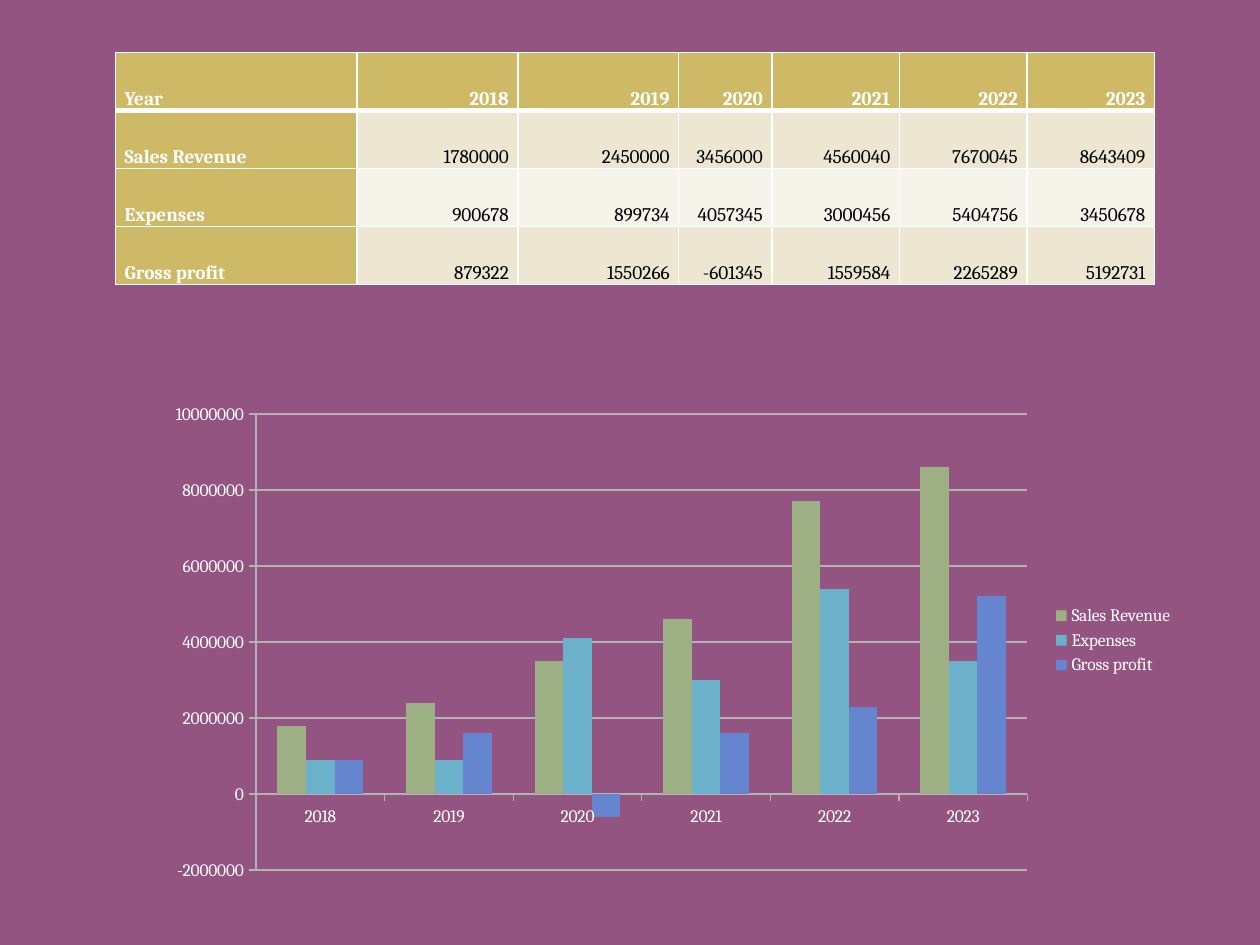
from lxml.etree import SubElement
from pptx import Presentation
from pptx.chart.data import CategoryChartData
from pptx.dml.color import RGBColor
from pptx.enum.chart import XL_CHART_TYPE, XL_LEGEND_POSITION, XL_TICK_MARK
from pptx.enum.text import MSO_ANCHOR, PP_ALIGN
from pptx.oxml import parse_xml
from pptx.oxml.ns import nsdecls, qn
from pptx.util import Cm, Pt

# Content
YEARS = ["2018", "2019", "2020", "2021", "2022", "2023"]
FIGURES = {
    "Sales Revenue": [1780000, 2450000, 3456000, 4560040, 7670045, 8643409],
    "Expenses": [900678, 899734, 4057345, 3000456, 5404756, 3450678],
    "Gross profit": [879322, 1550266, -601345, 1559584, 2265289, 5192731],
}
CHART_FIGURES = {
    "Sales Revenue": [1800000, 2400000, 3500000, 4600000, 7700000, 8600000],
    "Expenses": [900000, 900000, 4100000, 3000000, 5400000, 3500000],
    "Gross profit": [900000, 1600000, -600000, 1600000, 2300000, 5200000],
}

# Format
FONT = "Cambria"
PLUM = RGBColor(0x94, 0x54, 0x82)
GOLD = RGBColor(0xCE, 0xB9, 0x66)
SAND = RGBColor(0xED, 0xE6, 0xD3)
CREAM = RGBColor(0xF6, 0xF3, 0xEA)
WHITE = RGBColor(0xFF, 0xFF, 0xFF)
BLACK = RGBColor(0x00, 0x00, 0x00)
GRID_GREY = RGBColor(0xB3, 0xB3, 0xB3)
SERIES_COLORS = [RGBColor(0x9C, 0xB0, 0x84), RGBColor(0x6B, 0xB1, 0xC9),
                 RGBColor(0x65, 0x85, 0xCF)]
COLUMN_WIDTHS = [4.87, 3.24, 3.24, 1.88, 2.57, 2.57, 2.57]
ROW_HEIGHT = 1.17
PLOT_AREA = {"x": 0.114, "y": 0.051, "w": 0.735, "h": 0.905}


def write_text(frame, text, size=11, color=BLACK, bold=False, align=PP_ALIGN.LEFT):
    paragraph = frame.paragraphs[0]
    paragraph.alignment = align
    paragraph.line_spacing = 1.15
    run = paragraph.add_run()
    run.text = text
    run.font.name, run.font.size, run.font.bold = FONT, Pt(size), bold
    run.font.color.rgb = color


def set_borders(cell, **widths):
    """White cell borders; they stand before the fill in the cell properties."""
    properties = cell._tc.get_or_add_tcPr()
    for index, side in enumerate("LRTB"):
        width = Pt(widths.get(side, 1))
        properties.insert(index, parse_xml(
            f'<a:ln{side} {nsdecls("a")} w="{width}"><a:solidFill>'
            f'<a:srgbClr val="{WHITE}"/></a:solidFill></a:ln{side}>'))


def add_figures_table(slide):
    rows = [["Year", *YEARS]]
    rows += [[name, *map(str, values)] for name, values in FIGURES.items()]
    table = slide.shapes.add_table(
        len(rows), len(rows[0]), Cm(2.33), Cm(1.06),
        Cm(sum(COLUMN_WIDTHS)), Cm(ROW_HEIGHT * len(rows))).table
    for column, width in zip(table.columns, COLUMN_WIDTHS):
        column.width = Cm(width)
    for r, row in enumerate(rows):
        table.rows[r].height = Cm(ROW_HEIGHT)
        for c, text in enumerate(row):
            heading = r == 0 or c == 0
            cell = table.cell(r, c)
            cell.margin_left = cell.margin_right = Cm(0.18)
            cell.margin_top = cell.margin_bottom = 0
            cell.vertical_anchor = MSO_ANCHOR.BOTTOM
            cell.fill.solid()
            cell.fill.fore_color.rgb = GOLD if heading else SAND if r % 2 else CREAM
            set_borders(cell, T=3 if r == 1 else 1, B=3 if r == 0 else 1)
            write_text(cell.text_frame, text, bold=heading,
                       color=WHITE if heading else BLACK,
                       align=PP_ALIGN.RIGHT if c else PP_ALIGN.LEFT)


def add_figures_chart(slide):
    data = CategoryChartData()
    data.categories = YEARS
    for name, values in CHART_FIGURES.items():
        data.add_series(name, values)
    chart = slide.shapes.add_chart(
        XL_CHART_TYPE.COLUMN_CLUSTERED, Cm(2.75), Cm(7.83), Cm(21.16), Cm(10.16), data).chart
    chart.has_title = False
    chart.font.name, chart.font.size = FONT, Pt(10)
    chart.font.color.rgb = WHITE
    chart.has_legend = True
    chart.legend.position = XL_LEGEND_POSITION.RIGHT
    chart.legend.include_in_layout = False

    # Columns
    plot = chart.plots[0]
    plot.gap_width, plot.overlap = 150, 0
    plot.vary_by_categories = False
    for series, color in zip(plot.series, SERIES_COLORS):
        series.invert_if_negative = False
        series.format.fill.solid()
        series.format.fill.fore_color.rgb = color

    # Axes and hairline gridlines
    amounts = chart.value_axis
    amounts.minimum_scale, amounts.maximum_scale = -2000000, 10000000
    amounts.major_unit = 2000000
    amounts.has_major_gridlines = True
    for axis in (amounts, chart.category_axis):
        axis.major_tick_mark = XL_TICK_MARK.OUTSIDE
        axis.minor_tick_mark = XL_TICK_MARK.NONE
    for lined in (amounts, chart.category_axis, amounts.major_gridlines):
        lined.format.line.color.rgb = GRID_GREY
        lined.format.line.width = Pt(0)

    # Fixed place of the inner plot area
    plot_area = chart._chartSpace.chart.plotArea
    for layout in plot_area.findall(qn("c:layout")):
        plot_area.remove(layout)
    layout = parse_xml(f'<c:layout {nsdecls("c")}><c:manualLayout/></c:layout>')
    settings = {"layoutTarget": "inner", "xMode": "edge", "yMode": "edge", **PLOT_AREA}
    for tag, value in settings.items():
        SubElement(layout[0], qn(f"c:{tag}")).set("val", str(value))
    plot_area.insert(0, layout)


def main():
    deck = Presentation()
    deck.slide_width, deck.slide_height = Cm(25.4), Cm(19.05)
    slide = deck.slides.add_slide(deck.slide_layouts[6])
    slide.background.fill.solid()
    slide.background.fill.fore_color.rgb = PLUM
    add_figures_table(slide)
    add_figures_chart(slide)
    deck.save("out.pptx")


if __name__ == "__main__":
    main()
